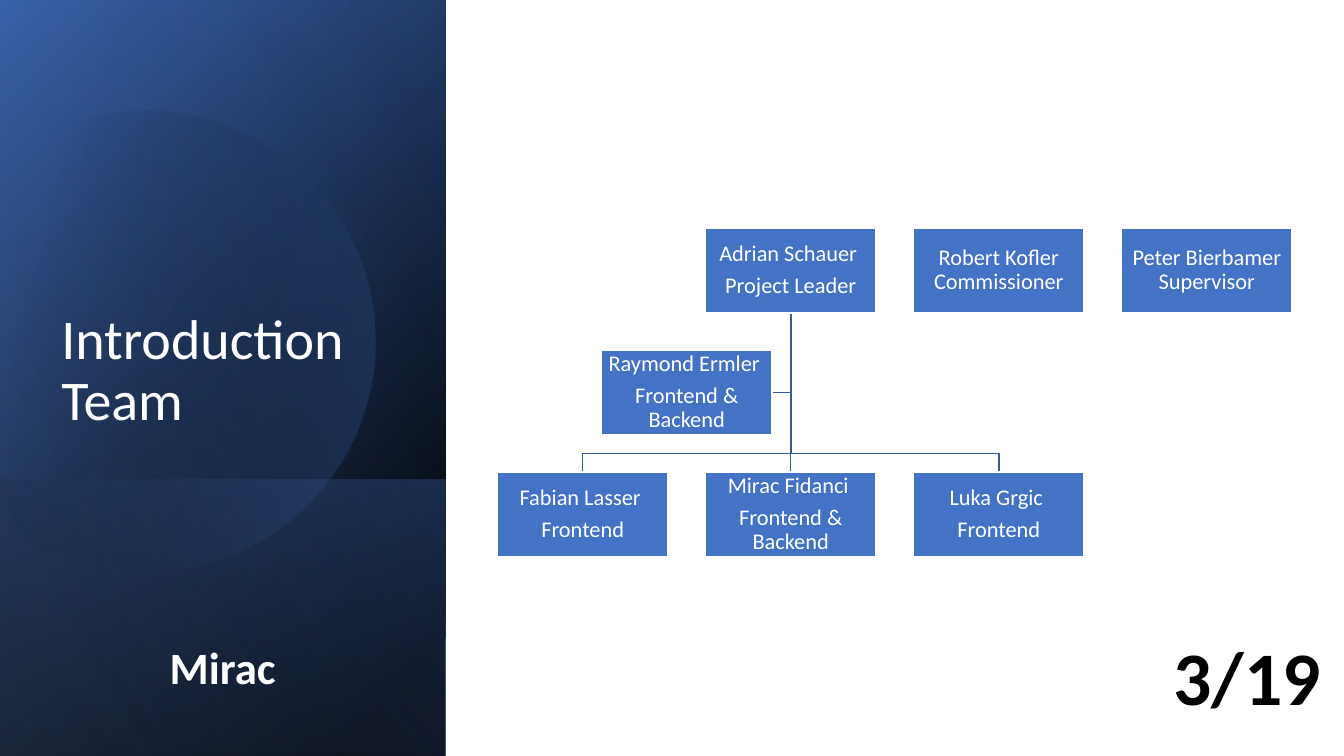
"""Build the team introduction slide with its organisation chart."""
from math import cos, radians, sin

from lxml import etree
from pptx import Presentation
from pptx.dml.color import RGBColor
from pptx.enum.shapes import MSO_SHAPE
from pptx.enum.text import MSO_ANCHOR, PP_ALIGN
from pptx.oxml.ns import qn
from pptx.util import Inches, Pt

RECTANGLE = MSO_SHAPE.RECTANGLE
CENTER, LEFT = PP_ALIGN.CENTER, PP_ALIGN.LEFT
MIDDLE, BOTTOM, TOP = MSO_ANCHOR.MIDDLE, MSO_ANCHOR.BOTTOM, MSO_ANCHOR.TOP

THEME = {
    "font": "Calibri", "white": "FFFFFF", "black": "000000", "blue": "4472C4",
    "deep": "2F5597", "pale": "8FAADC", "line": "365B9D",
    "title": 40, "member": 16, "speaker": 32, "counter": 54,
}

TITLE, SPEAKER, COUNTER = "Introduction Team ", "Mirac", "3/19"

TEAM = [
    (1, "lead", "Adrian Schauer \nProject Leader"),
    (0, "crew", "Fabian Lasser \nFrontend"),
    (1, "crew", "Mirac Fidanci \nFrontend & Backend"),
    (2, "crew", "Luka Grgic \nFrontend"),
    (0.5, "aide", "Raymond Ermler \nFrontend & Backend"),
    (2, "lead", "Robert Kofler\vCommissioner"),
    (3, "lead", "Peter Bierbamer\vSupervisor"),
]
ROW_TOP = {"lead": 2.26, "aide": 3.47, "crew": 4.68}
CHART_LEFT, LAST_LEFT, BOX_WIDTH, BOX_HEIGHT, BUS_TOP = 4.93, 11.12, 1.7, 0.85, 4.5
PITCH = (LAST_LEFT - CHART_LEFT) / 3

PANEL_WIDTH, PANEL_HEIGHT = 4.42, 7.5
BACK_PANELS = [
    (0, PANEL_HEIGHT, 50, [(8, "black", 100), (100, "deep", 100)]),
    (0, PANEL_HEIGHT, 30, [(0, "black", 0), (99, "blue", 46)]),
    (4.76, 2.74, 130, [(2, "blue", 29), (100, "black", 30)]),
]
FRONT_PANELS = [(0, PANEL_HEIGHT, 120, [(0, "black", 0), (99, "pale", 11)])]
DISC_STOPS = [(29, "black", 0), (100, "blue", 43)]
DISC_LEFT, DISC_TOP, DISC_WIDTH, DISC_HEIGHT, DISC_TURN = -0.55, 1.06, 4.27, 4.57, 343.9
DISC_START = (1.49, 1.1)
DISC_SEGMENTS = [
    [(2.46, 1.12), (3.35, 1.77), (3.63, 2.75)],
    [(3.98, 3.97), (3.28, 5.23), (2.07, 5.58)],
    [(1.31, 5.8), (0.53, 5.61), (-0.03, 5.14)],
    [(-0.15, 5.03)],
    [(-0.15, 1.75)],
    [(0, 1.61)],
    [(0.23, 1.42), (0.5, 1.28), (0.8, 1.19)],
    [(1.03, 1.13), (1.26, 1.1), (1.49, 1.1)],
]


def color(name):
    return RGBColor.from_string(THEME[name])


def fill_gradient(shape, angle, stops):
    shape.shadow.inherit = False
    shape.line.fill.background()
    shape.fill.gradient()
    shape.fill.gradient_angle = (360 - angle) % 360
    for stop, (position, name, _) in zip(shape.fill.gradient_stops, stops):
        stop.position = position / 100
        stop.color.rgb = color(name)
    for node, (_, _, opacity) in zip(shape._element.spPr.iter(qn("a:srgbClr")), stops):
        if opacity < 100:
            etree.SubElement(node, qn("a:alpha")).set("val", str(opacity * 1000))


def add_panel(page, top, height, angle, stops):
    left = (PANEL_WIDTH - height) / 2
    upright_top = top + (height - PANEL_WIDTH) / 2
    panel = page.shapes.add_shape(RECTANGLE, Inches(left), Inches(upright_top),
                                  Inches(height), Inches(PANEL_WIDTH))
    panel.rotation = 90
    panel._element.spPr.xfrm.set("flipH", "1")
    fill_gradient(panel, angle, stops)


def add_outline(page, points, close=False):
    start, *rest = [(Inches(x), Inches(y)) for x, y in points]
    builder = page.shapes.build_freeform(*start)
    builder.add_line_segments(rest, close=close)
    shape = builder.convert_to_shape()
    shape.shadow.inherit = False
    return shape


def turn_back(point):
    angle = radians(360 - DISC_TURN)
    x = point[0] - DISC_LEFT - DISC_WIDTH / 2
    y = point[1] - DISC_TOP - DISC_HEIGHT / 2
    return (x * cos(angle) - y * sin(angle) + DISC_WIDTH / 2,
            x * sin(angle) + y * cos(angle) + DISC_HEIGHT / 2)


def add_disc(page):
    points = [turn_back(p) for p in [DISC_START, *sum(DISC_SEGMENTS, [])]]
    disc = add_outline(page, points, close=True)
    disc.left, disc.top = Inches(DISC_LEFT), Inches(DISC_TOP)
    disc.width, disc.height = Inches(DISC_WIDTH), Inches(DISC_HEIGHT)
    disc.rotation = DISC_TURN
    outline = next(disc._element.iter(qn("a:path")))
    outline.set("w", str(disc.width))
    outline.set("h", str(disc.height))
    for node, (x, y) in zip(outline.iter(qn("a:pt")), points):
        node.set("x", str(Inches(x)))
        node.set("y", str(Inches(y)))
    steps = iter(outline.findall(qn("a:lnTo")))
    for segment in DISC_SEGMENTS:
        group = [next(steps) for _ in segment]
        if len(group) == 3:
            curve = etree.Element(qn("a:cubicBezTo"))
            group[0].addprevious(curve)
            for step in group:
                curve.append(step[0])
                outline.remove(step)
    fill_gradient(disc, 30, DISC_STOPS)


def write(box, text, size, name="white", align=CENTER, anchor=TOP, bold=False, spacing=None, after=None):
    frame = box.text_frame
    frame.text = text
    frame.vertical_anchor = anchor
    for para in frame.paragraphs:
        para.alignment = align
        para.line_spacing = spacing
        para.space_after = after
        for span in para.runs:
            span.font.name = THEME["font"]
            span.font.size = Pt(THEME[size])
            span.font.bold = bold
            span.font.color.rgb = color(name)


def add_label(page, left, top, width, height, text, size, wrap=False, **style):
    box = page.shapes.add_textbox(Inches(left), Inches(top), Inches(width), Inches(height))
    box.text_frame.word_wrap = wrap
    write(box, text, size, **style)


def add_member(page, column, row, text):
    box = page.shapes.add_shape(RECTANGLE, Inches(CHART_LEFT + column * PITCH), Inches(ROW_TOP[row]),
                                Inches(BOX_WIDTH), Inches(BOX_HEIGHT))
    box.shadow.inherit = False
    box.fill.solid()
    box.fill.fore_color.rgb = color("blue")
    box.line.color.rgb = color("white")
    box.line.width = Pt(1.5)
    frame = box.text_frame
    frame.word_wrap = True
    frame.margin_left = frame.margin_right = frame.margin_top = frame.margin_bottom = Inches(0.01)
    write(box, text, "member", anchor=MIDDLE, spacing=0.9, after=Pt(0.35 * THEME["member"]))


def add_links(page):
    left, trunk, right = (CHART_LEFT + BOX_WIDTH / 2 + column * PITCH for column in range(3))
    aide_right = CHART_LEFT + PITCH / 2 + BOX_WIDTH
    aide_middle = ROW_TOP["aide"] + BOX_HEIGHT / 2
    start, crew_top = (trunk, ROW_TOP["lead"] + BOX_HEIGHT), ROW_TOP["crew"]
    routes = [
        [(trunk, aide_middle), (aide_right, aide_middle)],
        [(trunk, BUS_TOP), (right, BUS_TOP), (right, crew_top)],
        [(trunk, crew_top)],
        [(trunk, BUS_TOP), (left, BUS_TOP), (left, crew_top)],
    ]
    for route in routes:
        link = add_outline(page, [start, *route])
        link.fill.background()
        link.line.color.rgb = color("line")
        link.line.width = Pt(1)


deck = Presentation()
deck.slide_width, deck.slide_height = Inches(13.33), Inches(7.5)
page = deck.slides.add_slide(deck.slide_layouts[6])
for panel in BACK_PANELS:
    add_panel(page, *panel)
add_disc(page)
for panel in FRONT_PANELS:
    add_panel(page, *panel)
add_label(page, 0.51, 0.64, 3.5, 3.7, TITLE, "title", wrap=True, align=LEFT, anchor=BOTTOM, spacing=0.9)
add_links(page)
for member in TEAM:
    add_member(page, *member)
add_label(page, 1.58, 6.3, 1.26, 0.64, SPEAKER, "speaker", bold=True)
add_label(page, 11.53, 6.2, 1.68, 1.01, COUNTER, "counter", name="black", bold=True)
deck.save("out.pptx")
